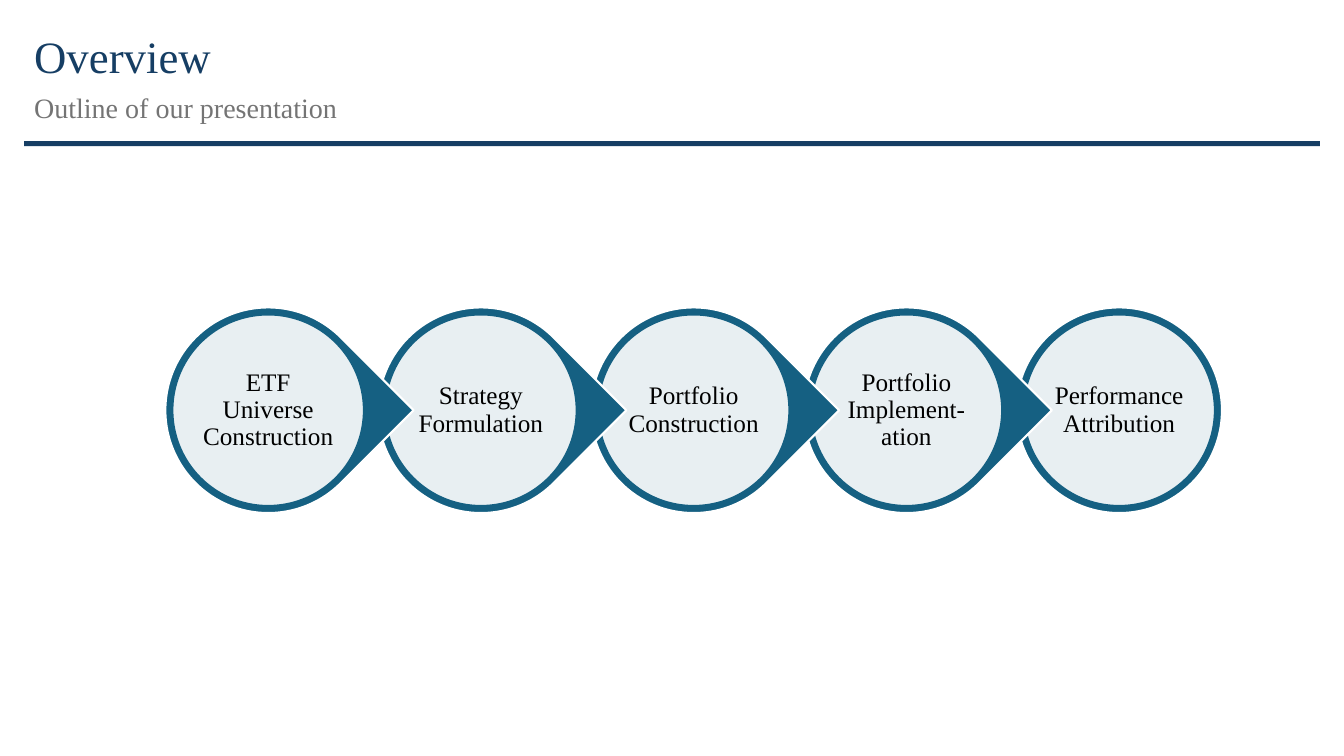
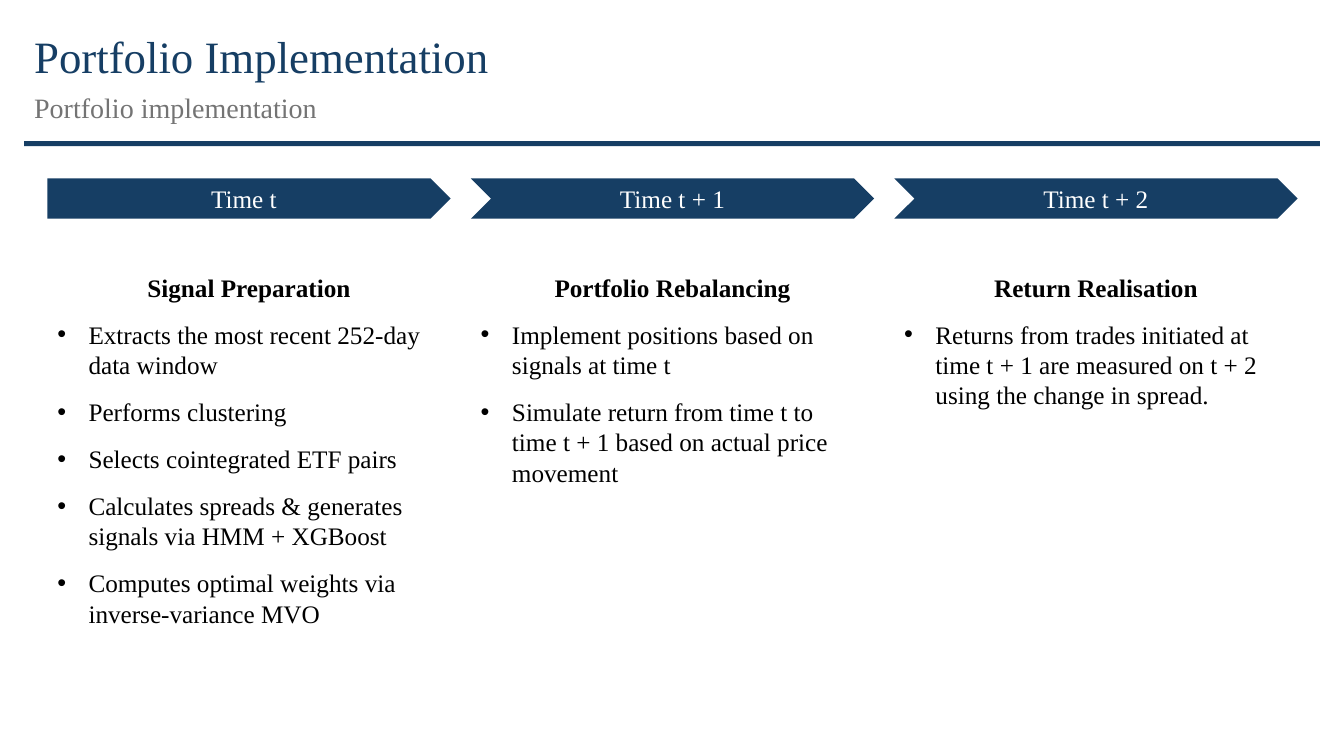
"""Build the overview and portfolio implementation slides."""
from dataclasses import dataclass

from pptx import Presentation
from pptx import util as u
from pptx.dml import color as dml
from pptx.enum import shapes, text
from pptx.oxml import ns
from pptx.oxml import xmlchemy as xml

FONT = "Times New Roman"
COLORS = {
    "navy": "163E64",
    "teal": "156082",
    "grey": "747474",
    "white": "FFFFFF",
    "black": "000000",
}
SHAPE = shapes.MSO_SHAPE
LEFT, CENTER = text.PP_ALIGN.LEFT, text.PP_ALIGN.CENTER
MIDDLE, TOP = text.MSO_ANCHOR.MIDDLE, text.MSO_ANCHOR.TOP

CIRCLE_LEFT, CIRCLE_TOP, CIRCLE_SIZE, CIRCLE_PITCH = 1.64, 3.05, 2.04, 2.11
DISC_INSET, LABEL_INSET = 0.07, 0.34
COLUMN_LEFT, COLUMN_WIDTH, COLUMN_PITCH = 0.47, 4, 4.2
BULLET_INDENT = 0.31


@dataclass(frozen=True)
class Box:
    left: float
    top: float
    width: float
    height: float

    def emu(self) -> tuple:
        return tuple(u.Inches(v) for v in (self.left, self.top, self.width, self.height))

    def inset(self, d: float) -> "Box":
        return Box(self.left + d, self.top + d, self.width - 2 * d, self.height - 2 * d)


@dataclass(frozen=True)
class TextStyle:
    size: int = 18
    color: str = "black"
    bold: bool = False
    align: text.PP_ALIGN = LEFT
    line_spacing: float = 1.0
    space_after: int = 0


@dataclass(frozen=True)
class Stage:
    time: str
    heading: str
    bullets: tuple[str, ...]


TITLE = TextStyle(size=32, color="navy", line_spacing=0.9)
SUBTITLE = TextStyle(size=20, color="grey", line_spacing=0.8)
STEP = TextStyle(align=CENTER, line_spacing=0.9)
TIME = TextStyle(color="white", align=CENTER)
HEADING = TextStyle(bold=True, align=CENTER, space_after=12)
BULLET = TextStyle(space_after=12)

STEPS = (
    "ETF Universe Construction",
    "Strategy Formulation",
    "Portfolio Construction",
    "Portfolio Implement-ation",
    "Performance Attribution",
)
STAGES = (
    Stage("Time t", "Signal Preparation", (
        "Extracts the most recent 252-day data window",
        "Performs clustering",
        "Selects cointegrated ETF pairs",
        "Calculates spreads & generates signals via HMM + XGBoost",
        "Computes optimal weights via inverse-variance MVO",
    )),
    Stage("Time t + 1", "Portfolio Rebalancing", (
        "Implement positions based on signals at time t",
        "Simulate return from time t to time t + 1 based on actual price movement",
    )),
    Stage("Time t + 2", "Return Realisation", (
        "Returns from trades initiated at time t + 1 are measured on t + 2 "
        "using the change in spread.",
    )),
)


def rgb(name: str) -> dml.RGBColor:
    return dml.RGBColor.from_string(COLORS[name])


def write(p, content: str, style: TextStyle) -> None:
    p.text = content
    p.alignment = style.align
    p.line_spacing = style.line_spacing
    p.space_after = u.Pt(style.space_after)
    for r in p.runs:
        r.font.name = FONT
        r.font.size = u.Pt(style.size)
        r.font.bold = style.bold
        r.font.color.rgb = rgb(style.color)


def add_bullet(p) -> None:
    pPr = p._p.get_or_add_pPr()
    pPr.set("marL", str(u.Inches(BULLET_INDENT)))
    pPr.set("indent", str(-u.Inches(BULLET_INDENT)))
    font = xml.OxmlElement("a:buFont")
    font.set("typeface", "Arial")
    char = xml.OxmlElement("a:buChar")
    char.set("char", "•")
    pPr.extend((font, char))


def add_text(s, box: Box, lines: list[tuple[str, TextStyle]], anchor=MIDDLE, margin=None):
    tf = s.shapes.add_textbox(*box.emu()).text_frame
    tf.word_wrap = True
    tf.vertical_anchor = anchor
    if margin is not None:
        tf.margin_left = tf.margin_right = tf.margin_top = tf.margin_bottom = u.Inches(margin)
    for i, (content, style) in enumerate(lines):
        p = tf.add_paragraph() if i else tf.paragraphs[0]
        write(p, content, style)
    return tf


def add_shape(s, kind, box: Box, fill: str, line: str | None = None):
    sp = s.shapes.add_shape(kind, *box.emu())
    sp.shadow.inherit = False
    sp.fill.solid()
    sp.fill.fore_color.rgb = rgb(fill)
    if line:
        sp.line.color.rgb = rgb(line)
        sp.line.width = u.Pt(1.5)
    else:
        sp.line.fill.background()
    return sp


def set_opacity(sp, percent: int) -> None:
    clr = sp.element.spPr.find(ns.qn("a:solidFill")).find(ns.qn("a:srgbClr"))
    alpha = xml.OxmlElement("a:alpha")
    alpha.set("val", str(percent * 1000))
    clr.append(alpha)


def add_slide(prs, title: str, subtitle: str):
    s = prs.slides.add_slide(prs.slide_layouts[6])
    add_text(s, Box(0.24, 0.12, 12.18, 0.94), [(title, TITLE)])
    add_shape(s, SHAPE.RECTANGLE, Box(0.24, 1.4, 12.85, 0.05), "navy")
    add_text(s, Box(0.24, 0.91, 12.18, 0.38), [(subtitle, SUBTITLE)])
    return s


def add_step(s, index: int, label: str, last: bool) -> None:
    box = Box(CIRCLE_LEFT + index * CIRCLE_PITCH, CIRCLE_TOP, CIRCLE_SIZE, CIRCLE_SIZE)
    ring = add_shape(s, SHAPE.OVAL if last else SHAPE.TEAR, box, "teal", "white")
    if not last:
        ring.rotation = 45
    disc = add_shape(s, SHAPE.OVAL, box.inset(DISC_INSET), "white", "teal")
    set_opacity(disc, 90)
    add_text(s, box.inset(LABEL_INSET), [(label, STEP)], margin=0.03)


def add_stage(s, index: int, stage: Stage) -> None:
    left = COLUMN_LEFT + index * COLUMN_PITCH
    kind = SHAPE.CHEVRON if index else SHAPE.PENTAGON
    arrow = add_shape(s, kind, Box(left, 1.77, COLUMN_WIDTH, 0.4), "navy")
    arrow.text_frame.vertical_anchor = MIDDLE
    write(arrow.text_frame.paragraphs[0], stage.time, TIME)
    lines = [(stage.heading, HEADING)] + [(b, BULLET) for b in stage.bullets]
    tf = add_text(s, Box(left, 2.65, COLUMN_WIDTH, 3.9), lines, anchor=TOP)
    for p in tf.paragraphs[1:]:
        add_bullet(p)


def main() -> None:
    prs = Presentation()
    prs.slide_width, prs.slide_height = u.Inches(13.33), u.Inches(7.5)

    s = add_slide(prs, "Overview", "Outline of our presentation")
    for i, label in reversed(list(enumerate(STEPS))):
        add_step(s, i, label, last=i == len(STEPS) - 1)

    s = add_slide(prs, "Portfolio Implementation", "Portfolio implementation")
    for i, stage in enumerate(STAGES):
        add_stage(s, i, stage)

    prs.save("out.pptx")


if __name__ == "__main__":
    main()
